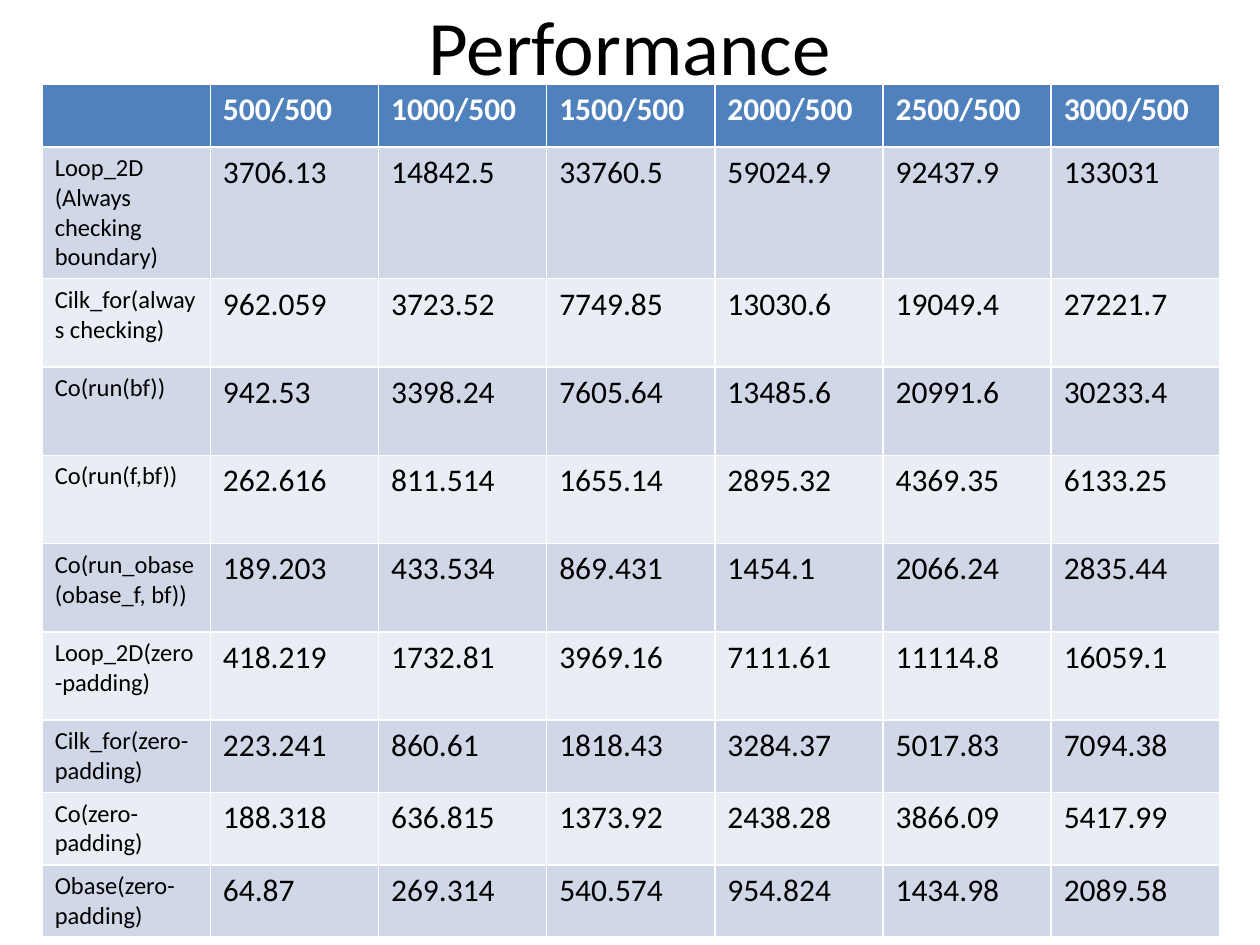
"""Build the Performance slide: a table of timings per method and grid size."""
from dataclasses import dataclass

from pptx import Presentation
from pptx.dml.color import RGBColor
from pptx.enum.text import MSO_ANCHOR, PP_ALIGN
from pptx.util import Cm, Pt

FONT = "Calibri"
COLORS = {
    "header": "4F81BD",
    "odd_row": "D0D8E8",
    "even_row": "E9EDF4",
    "white": "FFFFFF",
    "black": "000000",
}
GRID_SIZES = [500, 1000, 1500, 2000, 2500, 3000]
HEADER_HEIGHT = 1.27
COLUMN_WIDTH = 3.39


@dataclass
class Method:
    label: str
    timings: str
    height: float


METHODS = [
    Method("Loop_2D\n(Always checking boundary)",
           "3706.13 14842.5 33760.5 59024.9 92437.9 133031", 1.78),
    Method("Cilk_for(always checking)",
           "962.059 3723.52 7749.85 13030.6 19049.4 27221.7", 1.78),
    Method("Co(run(bf))",
           "942.53 3398.24 7605.64 13485.6 20991.6 30233.4", 1.78),
    Method("Co(run(f,bf))",
           "262.616 811.514 1655.14 2895.32 4369.35 6133.25", 1.78),
    Method("Co(run_obase(obase_f, bf))",
           "189.203 433.534 869.431 1454.1 2066.24 2835.44", 1.78),
    Method("Loop_2D(zero-padding)",
           "418.219 1732.81 3969.16 7111.61 11114.8 16059.1", 1.78),
    Method("Cilk_for(zero-padding)",
           "223.241 860.61 1818.43 3284.37 5017.83 7094.38", 0.89),
    Method("Co(zero-padding)",
           "188.318 636.815 1373.92 2438.28 3866.09 5417.99", 0.48),
    Method("Obase(zero-padding)",
           "64.87 269.314 540.574 954.824 1434.98 2089.58", 0.97),
]


def style_text(text_frame, size: int, color: str, bold: bool = False) -> None:
    """Format every run of a text frame."""
    for paragraph in text_frame.paragraphs:
        for run in paragraph.runs:
            run.font.name = FONT
            run.font.size = Pt(size)
            run.font.bold = bold
            run.font.color.rgb = RGBColor.from_string(COLORS[color])


def fill_cell(cell, text: str, fill: str, size: int, color: str, bold: bool = False) -> None:
    """Set the text and background of a table cell."""
    cell.fill.solid()
    cell.fill.fore_color.rgb = RGBColor.from_string(COLORS[fill])
    cell.text_frame.text = text
    style_text(cell.text_frame, size, color, bold)


def add_title(slide, text: str) -> None:
    """Place and format the title placeholder."""
    title = slide.shapes.title
    title.left, title.top, title.width, title.height = Cm(1.27), Cm(-0.2), Cm(22.86), Cm(2.21)
    title.text_frame.text = text
    title.text_frame.vertical_anchor = MSO_ANCHOR.MIDDLE
    title.text_frame.paragraphs[0].alignment = PP_ALIGN.CENTER
    style_text(title.text_frame, 44, "black")


def add_timings(slide, methods: list[Method]) -> None:
    """Add the table with one row per method and one column per grid size."""
    column_count = len(GRID_SIZES) + 1
    frame = slide.shapes.add_table(len(methods) + 1, column_count, Cm(0.85), Cm(1.69),
                                   Cm(COLUMN_WIDTH * column_count), Cm(17.12))
    table = frame.table
    for column in table.columns:
        column.width = Cm(COLUMN_WIDTH)
    table.rows[0].height = Cm(HEADER_HEIGHT)
    headings = [""] + [f"{size}/500" for size in GRID_SIZES]
    for column, heading in enumerate(headings):
        fill_cell(table.cell(0, column), heading, "header", 18, "white", bold=True)
    for row, method in enumerate(methods, start=1):
        table.rows[row].height = Cm(method.height)
        fill = "odd_row" if row % 2 else "even_row"
        fill_cell(table.cell(row, 0), method.label, fill, 14, "black")
        for column, timing in enumerate(method.timings.split(), start=1):
            fill_cell(table.cell(row, column), timing, fill, 18, "black")
    frame.height = Cm(17.12)


def main() -> None:
    """Create and save the presentation."""
    presentation = Presentation()
    presentation.slide_width, presentation.slide_height = Cm(25.4), Cm(19.05)
    slide = presentation.slides.add_slide(presentation.slide_layouts[5])
    add_title(slide, "Performance")
    add_timings(slide, METHODS)
    presentation.save("out.pptx")


if __name__ == "__main__":
    main()
